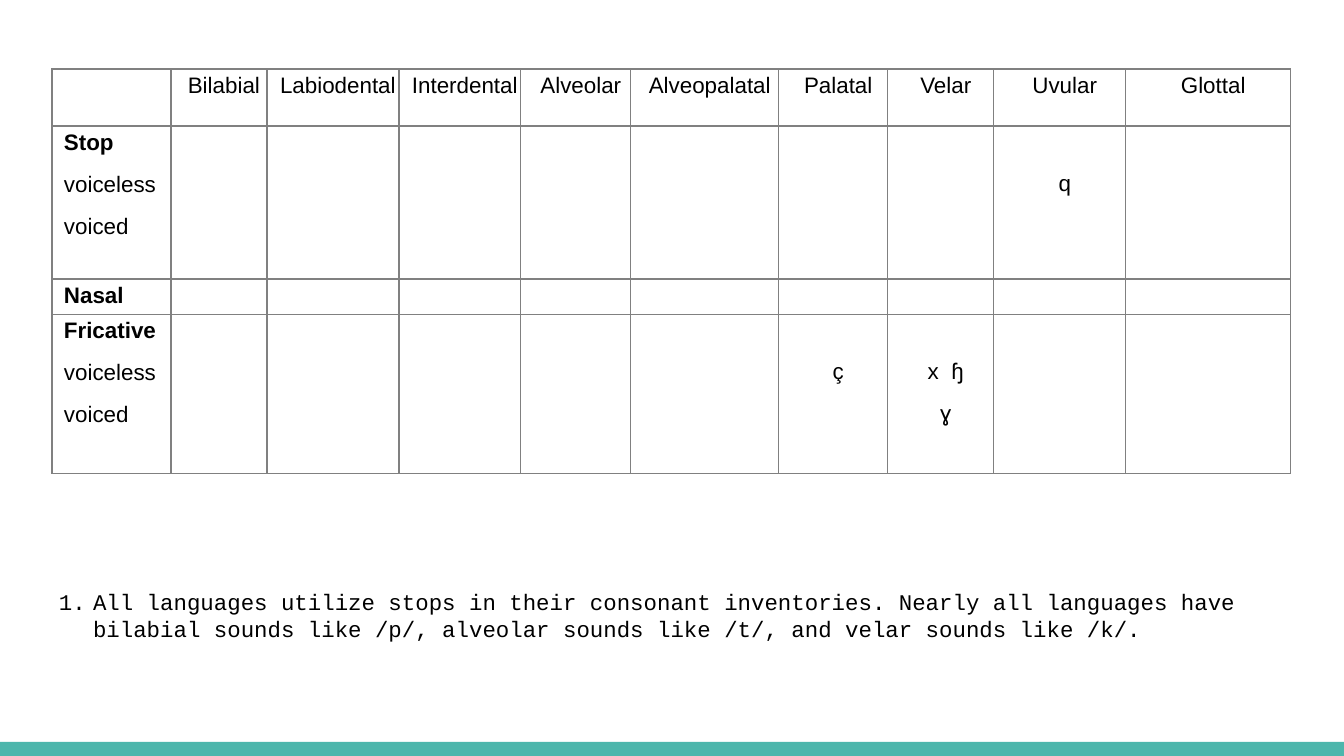
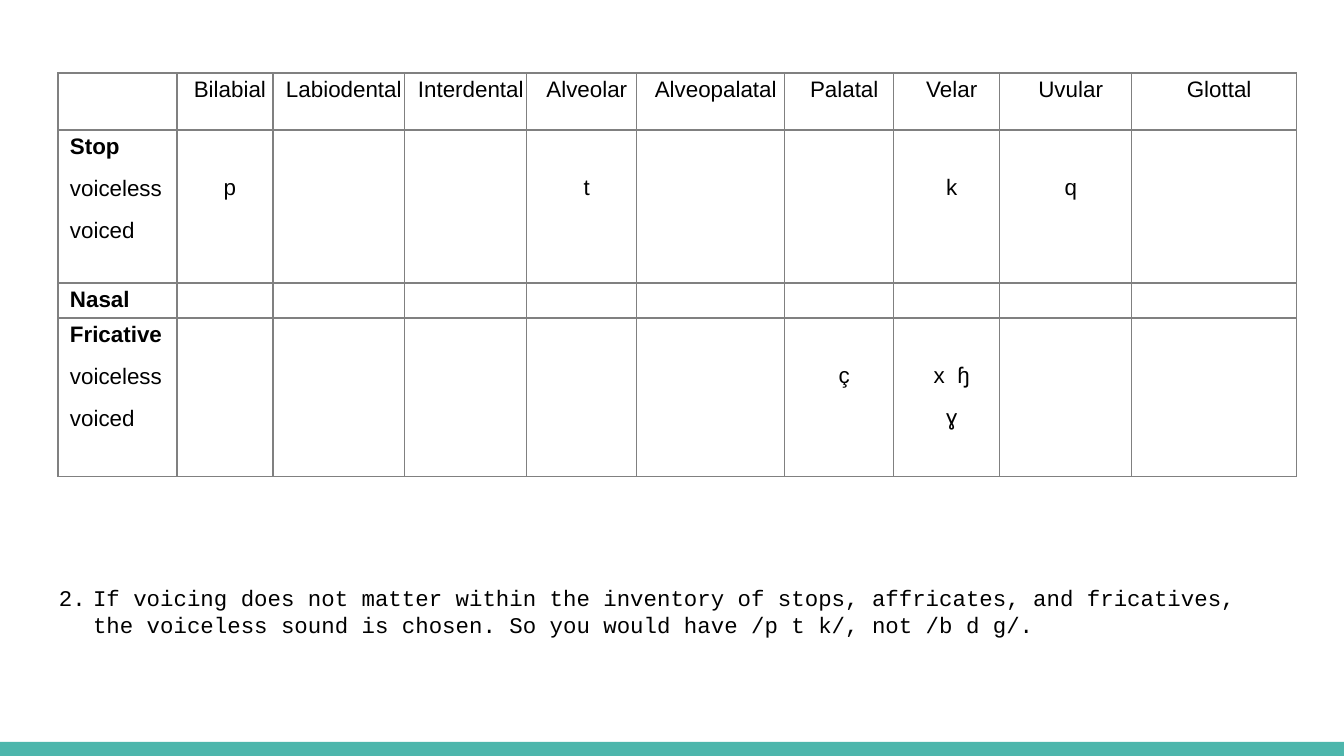
from lxml.etree import SubElement
from pptx import Presentation
from pptx.dml.color import RGBColor
from pptx.enum.shapes import MSO_SHAPE
from pptx.enum.text import PP_ALIGN
from pptx.oxml.ns import qn
from pptx.util import Emu, Pt

EMU_PER_PIXEL = 914400 / 134.4
SLIDE_WIDTH, SLIDE_HEIGHT = 1344, 756
BAND_HEIGHT = 14
WHITE, BLACK, GRAY, TEAL = "FFFFFF", "000000", "808080", "4DB6AC"
TABLE_FONT, NOTE_FONT = "Arial", "Courier New"
TEXT_SIZE = 12

COLUMN_WIDTHS = [119, 96, 132, 122, 110, 148, 109, 106, 132, 165]
ROW_HEIGHTS = [57, 153, 35, 159]
CELL_MARGIN = 4
CELL_MARGIN_RIGHT = 2
CELL_INDENT = 8
HEADING_LINE = 41

PLACES = ["Bilabial", "Labiodental", "Interdental", "Alveolar", "Alveopalatal",
          "Palatal", "Velar", "Uvular", "Glottal"]
MANNERS = [["Stop", "voiceless", "voiced"], ["Nasal"],
           ["Fricative", "voiceless", "voiced"]]
SHARED_SOUNDS = {
    ("Stop", "Uvular"): ["q"],
    ("Fricative", "Palatal"): ["ç"],
    ("Fricative", "Velar"): ["x  ɧ", "ɣ"],
}
VOICELESS_STOPS = {
    ("Stop", "Bilabial"): ["p"],
    ("Stop", "Alveolar"): ["t"],
    ("Stop", "Velar"): ["k"],
}


def px(length):
    return Emu(round(length * EMU_PER_PIXEL))


def color(value):
    return RGBColor.from_string(value)


def style_runs(paragraph, font_name, bold=False):
    for run in paragraph.runs:
        run.font.name = font_name
        run.font.size = Pt(TEXT_SIZE)
        run.font.bold = bold
        run.font.color.rgb = color(BLACK)


def set_indent(paragraph, left, first_line):
    properties = paragraph._p.get_or_add_pPr()
    properties.set("marL", str(px(left)))
    properties.set("indent", str(px(first_line)))
    return properties


def add_band(slide):
    band = slide.shapes.add_shape(
        MSO_SHAPE.RECTANGLE, 0, px(SLIDE_HEIGHT - BAND_HEIGHT),
        px(SLIDE_WIDTH), px(BAND_HEIGHT))
    band.shadow.inherit = False
    band.fill.solid()
    band.fill.fore_color.rgb = color(TEAL)
    band.line.fill.background()


def style_cell(cell):
    properties = cell._tc.get_or_add_tcPr()
    for side in ("a:lnL", "a:lnR", "a:lnT", "a:lnB"):
        border = SubElement(properties, qn(side), w=str(Pt(0.75)))
        fill = SubElement(border, qn("a:solidFill"))
        SubElement(fill, qn("a:srgbClr"), val=GRAY)
    cell.fill.solid()
    cell.fill.fore_color.rgb = color(WHITE)
    cell.margin_left = cell.margin_top = cell.margin_bottom = px(CELL_MARGIN)
    cell.margin_right = px(CELL_MARGIN_RIGHT)


def fill_cell(cell, lines, centered=True, bold_first=False):
    cell.text_frame.text = "\n".join(lines)
    for index, paragraph in enumerate(cell.text_frame.paragraphs):
        set_indent(paragraph, CELL_INDENT, 0)
        paragraph.alignment = PP_ALIGN.CENTER if centered else PP_ALIGN.LEFT
        if index:
            paragraph.space_before = Pt(9)
        style_runs(paragraph, TABLE_FONT, bold_first and index == 0)
        if not lines:
            SubElement(paragraph._p, qn("a:endParaRPr"), sz=str(TEXT_SIZE * 100))


def add_consonant_table(slide, left, top, sounds):
    table = slide.shapes.add_table(
        len(ROW_HEIGHTS), len(COLUMN_WIDTHS), px(left), px(top),
        px(sum(COLUMN_WIDTHS)), px(sum(ROW_HEIGHTS))).table
    table.first_row = table.horz_banding = False
    for column, width in zip(table.columns, COLUMN_WIDTHS):
        column.width = px(width)
    for row, height in zip(table.rows, ROW_HEIGHTS):
        row.height = px(height)
    for cell in table.iter_cells():
        style_cell(cell)

    fill_cell(table.cell(0, 0), [])
    for column, place in enumerate(PLACES, 1):
        fill_cell(table.cell(0, column), [place])
    for row, manner in enumerate(MANNERS, 1):
        fill_cell(table.cell(row, 0), manner, centered=False, bold_first=True)
        for column, place in enumerate(PLACES, 1):
            cell = table.cell(row, column)
            lines = sounds.get((manner[0], place), [])
            fill_cell(cell, lines)
            if lines:
                cell.margin_top = px(CELL_MARGIN + HEADING_LINE)


def add_numbered_note(slide, top, height, number, text):
    shape = slide.shapes.add_textbox(px(46), px(top), px(1252), px(height))
    text_frame = shape.text_frame
    text_frame.word_wrap = True
    text_frame.margin_left = text_frame.margin_right = px(13)
    text_frame.margin_top = text_frame.margin_bottom = px(13)
    text_frame.text = text
    paragraph = text_frame.paragraphs[0]
    properties = set_indent(paragraph, 34, -44)
    bullet_color = SubElement(properties, qn("a:buClr"))
    SubElement(bullet_color, qn("a:srgbClr"), val=BLACK)
    SubElement(properties, qn("a:buFont"), typeface=NOTE_FONT)
    SubElement(properties, qn("a:buAutoNum"), type="arabicPeriod",
               startAt=str(number))
    style_runs(paragraph, NOTE_FONT)


def add_inventory_slide(presentation):
    slide = presentation.slides.add_slide(presentation.slide_layouts[6])
    slide.background.fill.solid()
    slide.background.fill.fore_color.rgb = color(WHITE)
    add_band(slide)
    return slide


def main():
    presentation = Presentation()
    presentation.slide_width = px(SLIDE_WIDTH)
    presentation.slide_height = px(SLIDE_HEIGHT)

    slide = add_inventory_slide(presentation)
    add_consonant_table(slide, 52, 69, SHARED_SOUNDS)
    add_numbered_note(
        slide, 575, 347, 1,
        "All languages utilize stops in their consonant inventories. "
        "Nearly all languages have bilabial sounds like /p/, alveolar sounds "
        "like /t/, and velar sounds like /k/.")

    slide = add_inventory_slide(presentation)
    add_consonant_table(slide, 58, 73, {**SHARED_SOUNDS, **VOICELESS_STOPS})
    add_numbered_note(
        slide, 571, 445, 2,
        "If voicing does not matter within the inventory of stops, "
        "affricates, and fricatives, the voiceless sound is chosen. "
        "So you would have /p t k/, not /b d g/.")

    presentation.save("out.pptx")


if __name__ == "__main__":
    main()
